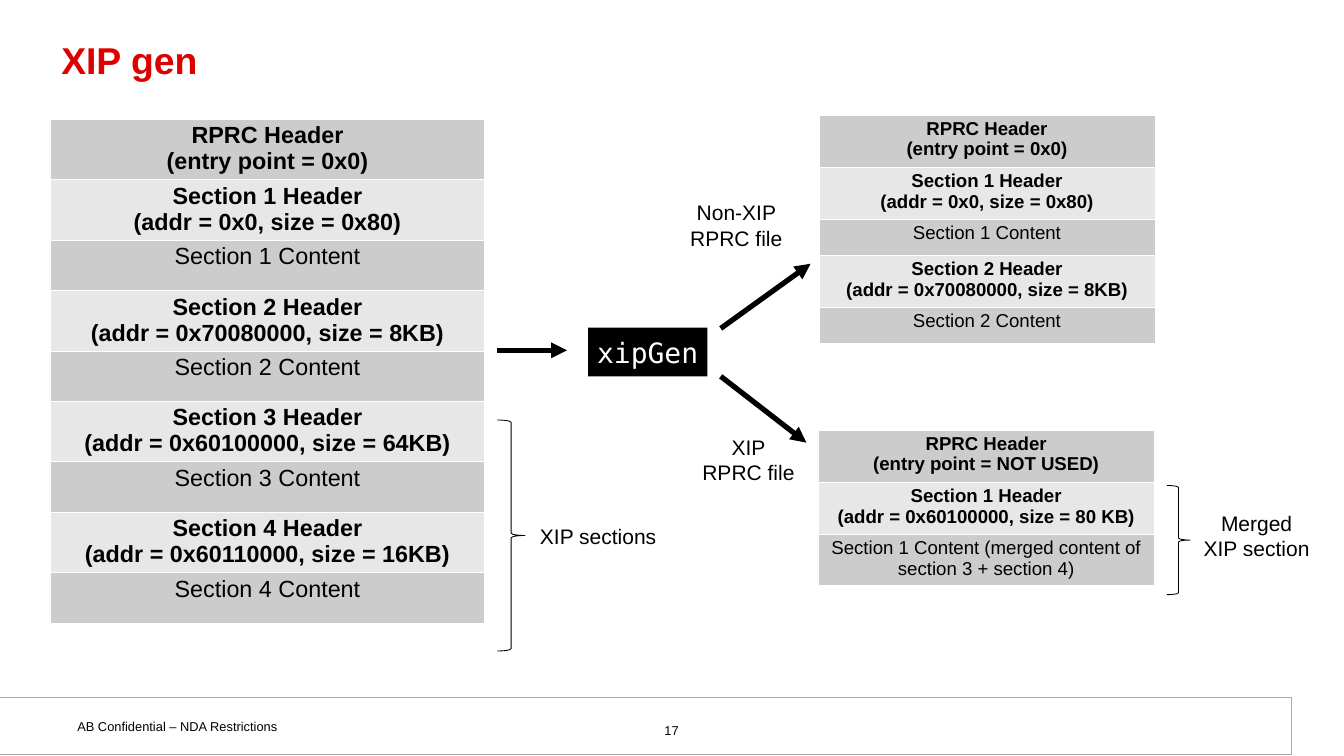
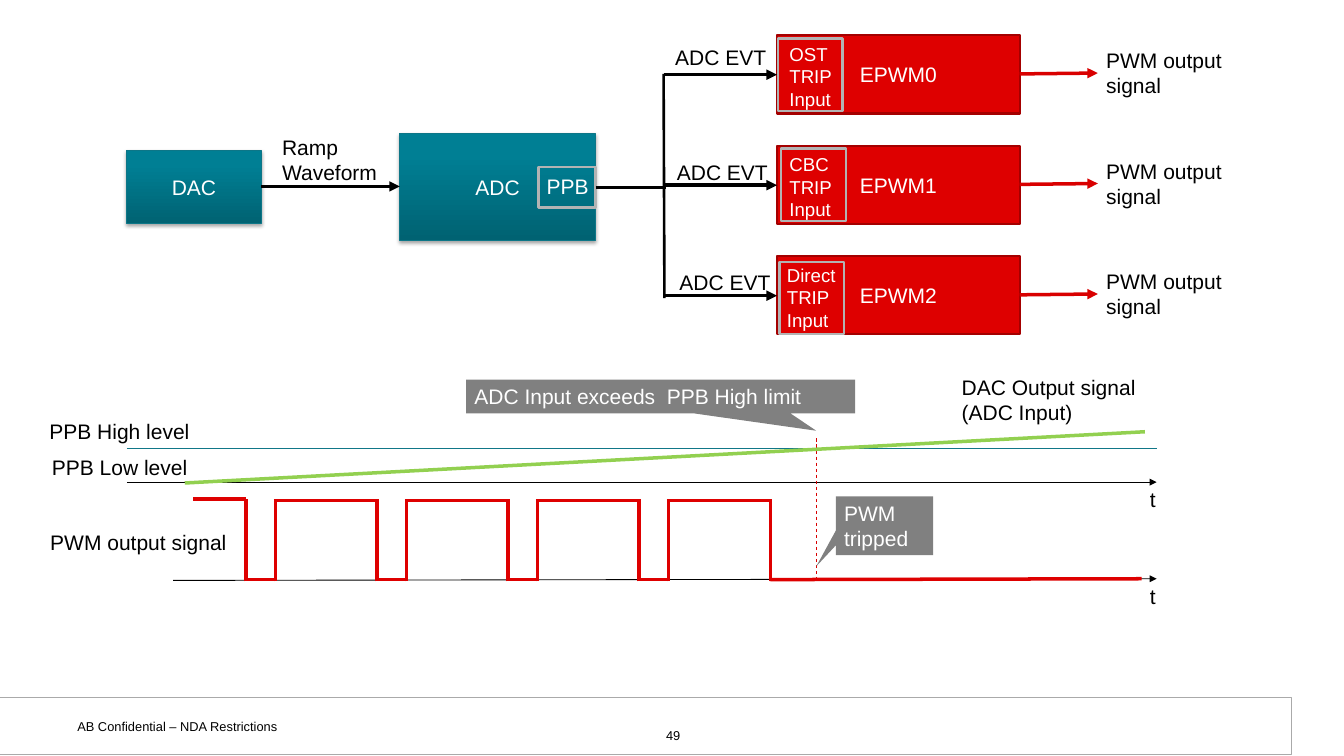
"""Build two slides: the XIP generation flow and the ADC-triggered PWM trip."""
from lxml.etree import SubElement
from pptx import Presentation
from pptx.dml.color import RGBColor
from pptx.enum.dml import MSO_LINE
from pptx.enum.shapes import MSO_CONNECTOR, MSO_SHAPE
from pptx.enum.text import MSO_ANCHOR, PP_ALIGN
from pptx.oxml import parse_xml
from pptx.oxml.ns import nsdecls, qn
from pptx.util import Inches, Pt

COLOURS = {
    "black": "000000", "white": "FFFFFF", "red": "DE0000", "dark red": "A40000",
    "signal red": "D90000", "teal": "117788", "teal edge": "0D7687",
    "teal dark": "006272", "teal light": "007F94", "green": "92D050",
    "callout": "808080", "frame": "B3B3B3", "footer edge": "AAAAAA",
    "content row": "CCCCCC", "header row": "E7E7E7",
}
FONT = "Arial"
CODE_FONT = "DejaVu Sans Mono"


def colour(name):
    """Return the named colour."""
    return RGBColor.from_string(COLOURS[name])


def write_text(text_frame, text, size=18, color="black", bold=False,
               align=PP_ALIGN.LEFT, font=FONT):
    """Fill a text frame, one paragraph per line."""
    text_frame.text = text
    for paragraph in text_frame.paragraphs:
        paragraph.alignment = align
        paragraph.font.size = Pt(size)
        paragraph.font.name = font
        paragraph.font.bold = bold
        paragraph.font.color.rgb = colour(color)


def add_label(slide, box, text, margins=(0.1, 0.05), **style):
    """Add a text box and return its text frame."""
    text_frame = slide.shapes.add_textbox(*map(Inches, box)).text_frame
    text_frame.word_wrap = True
    text_frame.margin_left = text_frame.margin_right = Inches(margins[0])
    text_frame.margin_top = text_frame.margin_bottom = Inches(margins[1])
    write_text(text_frame, text, **style)
    return text_frame


def add_block(slide, box, fill=None, line=None, width=0.75, text="",
              kind=MSO_SHAPE.RECTANGLE, anchor=MSO_ANCHOR.MIDDLE,
              align=PP_ALIGN.CENTER, **style):
    """Add a flat preset shape with optional fill, outline and text."""
    shape = slide.shapes.add_shape(kind, *map(Inches, box))
    shape.shadow.inherit = False
    if fill:
        shape.fill.solid()
        shape.fill.fore_color.rgb = colour(fill)
    else:
        shape.fill.background()
    if line:
        shape.line.color.rgb = colour(line)
        shape.line.width = Pt(width)
    else:
        shape.line.fill.background()
    if text:
        shape.text_frame.word_wrap = True
        shape.text_frame.vertical_anchor = anchor
        write_text(shape.text_frame, text, color="white", align=align, **style)
    return shape


def add_teal_block(slide, box, text):
    """Add a teal gradient block with a soft shadow."""
    shape = add_block(slide, box, line="teal edge", text=text)
    shape.fill.gradient()
    shape.fill.gradient_angle = 90
    dark, light = shape.fill.gradient_stops
    dark.color.rgb, dark.position = colour("teal dark"), 0
    light.color.rgb, light.position = colour("teal light"), 0.8
    effects = shape._element.spPr.find(qn("a:effectLst"))
    effects.append(parse_xml(
        f'<a:outerShdw {nsdecls("a")} blurRad="40000" dist="23000" dir="5400000" '
        'rotWithShape="0"><a:srgbClr val="000000"><a:alpha val="35000"/>'
        '</a:srgbClr></a:outerShdw>'))


def add_callout(slide, box, text, tip):
    """Add a grey callout whose tip is given relative to its size."""
    shape = add_block(slide, box, fill="callout", text=text,
                      kind=MSO_SHAPE.RECTANGULAR_CALLOUT,
                      anchor=MSO_ANCHOR.TOP, align=PP_ALIGN.LEFT)
    shape.adjustments[0], shape.adjustments[1] = tip


def add_line(slide, start, end, color="black", width=3, arrow=False, dashed=False):
    """Add a straight line, optionally dashed or with an arrowhead."""
    line = slide.shapes.add_connector(
        MSO_CONNECTOR.STRAIGHT, *map(Inches, (*start, *end)))
    line.line.color.rgb = colour(color)
    line.line.width = Pt(width)
    if dashed:
        line.line.dash_style = MSO_LINE.DASH
    if arrow:
        SubElement(line.line._get_or_add_ln(), qn("a:tailEnd"), type="triangle")
    SubElement(line._element.spPr, qn("a:effectLst"))


def add_cell_borders(cell):
    """Draw thin white borders round a table cell."""
    properties = cell._tc.get_or_add_tcPr()
    for index, side in enumerate(("lnL", "lnR", "lnT", "lnB")):
        properties.insert(index, parse_xml(
            f'<a:{side} {nsdecls("a")} w="12192"><a:solidFill>'
            f'<a:srgbClr val="{COLOURS["white"]}"/></a:solidFill></a:{side}>'))


def add_section_table(slide, left, top, width, size, rows):
    """Add a one-column file layout table from (text, height) rows."""
    height = sum(row_height for _, row_height in rows)
    table = slide.shapes.add_table(
        len(rows), 1, *map(Inches, (left, top, width, height))).table
    table.first_row = table.horz_banding = False
    for index, (text, row_height) in enumerate(rows):
        table.rows[index].height = Inches(row_height)
        cell = table.cell(index, 0)
        cell.margin_left = cell.margin_right = Inches(0.12)
        cell.margin_top, cell.margin_bottom = Inches(0.04), Inches(0.01)
        cell.fill.solid()
        cell.fill.fore_color.rgb = colour("header row" if index % 2 else "content row")
        add_cell_borders(cell)
        write_text(cell.text_frame, text, size=size, bold="\n" in text,
                   align=PP_ALIGN.CENTER)


def section_rows(entry, sections, header_height, content_height):
    """List the rows of a file: its header, then each section in turn."""
    rows = [(f"RPRC Header\n(entry point = {entry})", header_height)]
    for number, (address, size) in enumerate(sections, 1):
        rows += [
            (f"Section {number} Header\n(addr = {address}, size = {size})", header_height),
            (f"Section {number} Content", content_height),
        ]
    return rows


def add_slide(presentation, number, number_left, number_top):
    """Add a blank slide with the footer band and slide number."""
    slide = presentation.slides.add_slide(presentation.slide_layouts[6])
    add_block(slide, (-0.03, 8.3, 15.4, 0.68), fill="white", line="footer edge")
    footer = {"size": 11, "margins": (0.13, 0.07)}
    add_label(slide, (0.79, 8.48, 3.69, 0.32), "AB Confidential – NDA Restrictions", **footer)
    add_label(slide, (number_left, number_top, 3.73, 0.27), number,
              align=PP_ALIGN.CENTER, **footer)
    return slide


def add_title(slide, text):
    """Add the red slide title."""
    text_frame = add_label(slide, (0.6, 0.3, 14, 0.9), text, size=32, color="red",
                           bold=True, margins=(0.13, 0.07))
    text_frame.vertical_anchor = MSO_ANCHOR.MIDDLE
    text_frame.paragraphs[0].line_spacing = 0.85


def build_xip_slide(presentation):
    """Show one file split into non-XIP and XIP files."""
    slide = add_slide(presentation, "17", 6.13, 8.53)
    add_title(slide, "XIP gen")

    sections = [("0x0", "0x80"), ("0x70080000", "8KB"),
                ("0x60100000", "64KB"), ("0x60110000", "16KB")]
    add_section_table(slide, 0.6, 1.42, 5.17, 20, section_rows("0x0", sections, 0.72, 0.6))
    add_section_table(slide, 9.75, 1.37, 4, 16, section_rows("0x0", sections[:2], 0.62, 0.43))
    merged = section_rows("NOT USED", [("0x60100000", "80 KB")], 0.62, 0.61)
    merged[-1] = ("Section 1 Content (merged content of section 3 + section 4)", 0.61)
    add_section_table(slide, 9.74, 5.12, 4, 16, merged)

    add_block(slide, (7, 3.9, 1.42, 0.58), fill="black", text="xipGen", size=24,
              font=CODE_FONT)
    for start, end in (((5.92, 4.17), (6.75, 4.17)), ((8.58, 3.91), (9.65, 3.14)),
                       ((8.58, 4.48), (9.6, 5.27))):
        add_line(slide, start, end, width=4.5, arrow=True)
    for box in ((5.92, 5, 0.33, 2.75), (13.89, 5.78, 0.28, 1.3)):
        add_block(slide, box, line="black", kind=MSO_SHAPE.RIGHT_BRACE)

    centred = {"align": PP_ALIGN.CENTER}
    add_label(slide, (7.93, 2.33, 1.67, 0.7), "Non-XIP RPRC file", **centred)
    add_label(slide, (8.24, 5.12, 1.34, 0.7), "XIP RPRC file", **centred)
    add_label(slide, (6.33, 6.18, 1.8, 0.4), "XIP sections")
    add_label(slide, (14.18, 6.03, 1.56, 0.7), "Merged\nXIP section", **centred)


def add_pwm_channel(slide, index, trip, event_left, event_top, trip_left, frame):
    """Add one EPWM block with its trip input, event label and arrows."""
    top = 0.42 + 1.315 * index
    add_block(slide, (9.25, top, 2.89, 0.93), fill="red", line="dark red", width=2,
              text=f"EPWM{index}")
    add_label(slide, (trip_left, top + 0.04, 0.8, 0.9), f"{trip} TRIP Input", size=16,
              color="white")
    add_block(slide, (*frame, 0.77, 0.86), line="frame", width=2)
    add_label(slide, (event_left, event_top, 1.5, 0.4), "ADC EVT")
    add_line(slide, (7.9, top + 0.47), (9.25, top + 0.47), arrow=True)
    add_line(slide, (12.14, top + 0.46), (13.07, top + 0.45), "signal red", arrow=True)
    add_label(slide, (13.07, top + 0.1, 1.71, 0.7), "PWM output signal")


def add_pwm_wave(slide):
    """Draw the PWM pulses up to the trip and the flat line after it."""
    high, low, period, pulse, edge = 5.96, 6.9, 1.56, 1.21, 0.02
    top, bottom = high - edge, low + edge
    first_fall = 2.93
    segments = [((2.3, top), (first_fall, top)), ((first_fall, bottom), (first_fall, top))]
    fall = first_fall
    for index in range(4):
        rise = 3.28 + period * index
        segments.append(((fall, low), (rise, low)))
        fall = rise + pulse
        segments += [((rise, bottom), (rise, top)), ((fall, bottom), (fall, top)),
                     ((rise - edge, high), (fall + edge, high))]
    segments.append(((fall, low), (13.59, 6.89)))
    for start, end in segments:
        add_line(slide, start, end, "red")


def build_trip_slide(presentation):
    """Show the ADC trip path and its timing diagram."""
    slide = add_slide(presentation, "49", 6.15, 8.59)

    add_teal_block(slide, (1.51, 1.79, 1.6, 0.87), "DAC")
    add_teal_block(slide, (4.76, 1.59, 2.33, 1.27), "ADC")
    add_label(slide, (6.41, 2.02, 0.9, 0.4), "PPB", color="white")
    add_block(slide, (6.41, 1.99, 0.68, 0.48), line="frame", width=2)
    add_line(slide, (3.11, 2.22), (4.76, 2.22), arrow=True)
    add_label(slide, (3.26, 1.55, 1.52, 0.7), "Ramp Waveform")
    add_line(slide, (7.09, 2.23), (7.93, 2.23))
    add_line(slide, (7.9, 0.88), (7.91, 3.55), width=2.25)
    channels = (("OST", 7.94, 0.48, 9.3, (9.26, 0.46)),
                ("CBC", 7.96, 1.85, 9.3, (9.3, 1.77)),
                ("Direct", 7.99, 3.16, 9.27, (9.28, 3.12)))
    for index, channel in enumerate(channels):
        add_pwm_channel(slide, index, *channel)

    add_line(slide, (1.51, 5.74), (13.77, 5.74), width=0.75, arrow=True)
    add_line(slide, (2.06, 6.91), (13.77, 6.89), width=0.75, arrow=True)
    add_line(slide, (9.72, 5.22), (9.72, 6.92), "signal red", 0.75, dashed=True)
    add_line(slide, (1.51, 5.34), (13.77, 5.34), "teal", 1.5)
    add_line(slide, (2.2, 5.75), (13.63, 5.14), "green")
    add_pwm_wave(slide)

    add_label(slide, (0.49, 4.93, 2.97, 0.4), "PPB High level")
    add_label(slide, (0.52, 5.36, 2.97, 0.4), "PPB Low level")
    add_label(slide, (0.5, 6.25, 2.5, 0.4), "PWM output signal")
    add_label(slide, (11.35, 4.41, 2.5, 0.7), "DAC Output signal\n(ADC Input)")
    for top in (5.74, 6.9):
        add_label(slide, (13.59, top, 0.34, 0.4), "t")
    add_callout(slide, (5.55, 4.52, 4.63, 0.4), "ADC Input exceeds  PPB High limit",
                (0.4, 1.02))
    add_callout(slide, (9.95, 5.91, 1.16, 0.7), "PWM tripped", (-0.7, 0.69))


def main():
    """Build and save the presentation."""
    presentation = Presentation()
    presentation.slide_width = Inches(16)
    presentation.slide_height = Inches(9)
    build_xip_slide(presentation)
    build_trip_slide(presentation)
    presentation.save("out.pptx")


if __name__ == "__main__":
    main()
